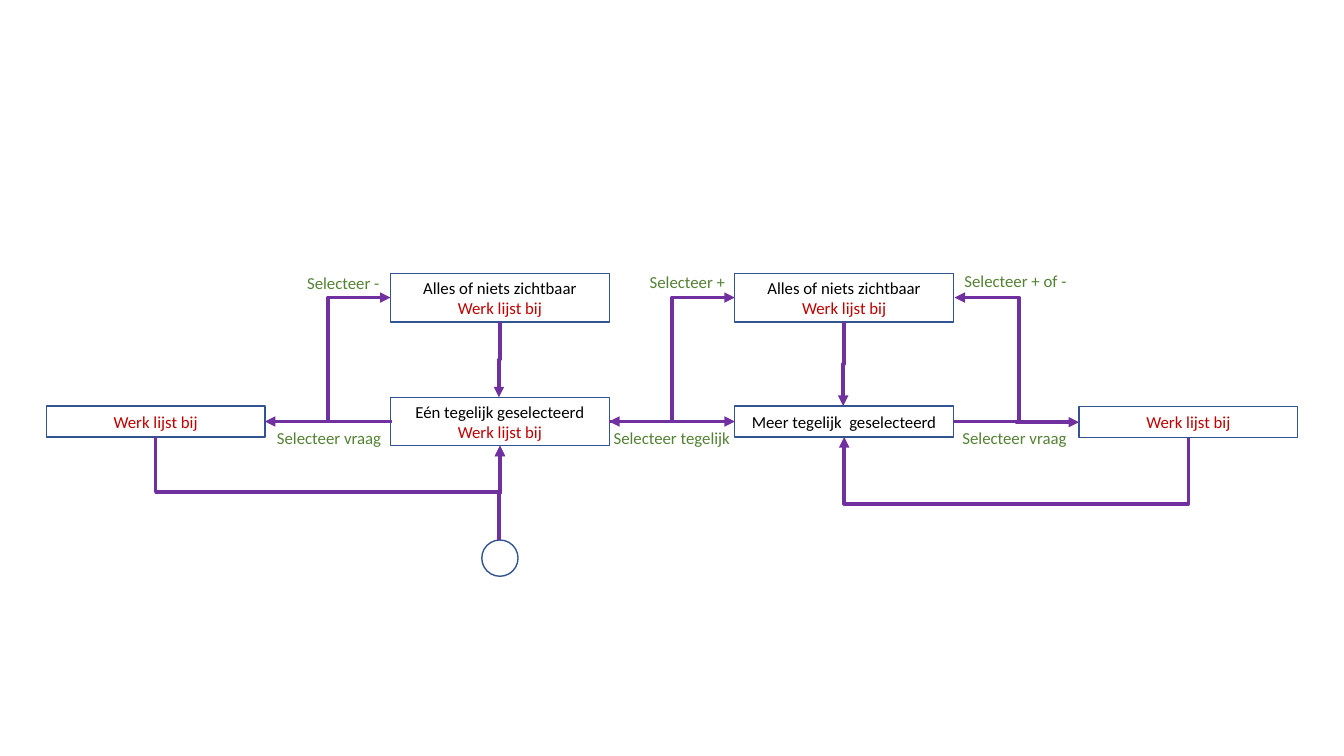
from pptx import Presentation
from pptx.util import Pt
from pptx.dml.color import RGBColor as RGB
from pptx.enum.shapes import MSO_SHAPE as SHAPE, MSO_CONNECTOR as LINK
from pptx.enum.text import PP_ALIGN as ALIGN, MSO_ANCHOR as ANCHOR, MSO_AUTO_SIZE as AUTO
from pptx.oxml.ns import qn
from lxml.etree import SubElement as add_tag

HUE = {"edge": "325491", "arrow": "7030A0", "state": "000000",
       "action": "C00000", "event": "548235"}

# Grid: column centres, row centres and box sizes
COLS = [111.2 + 245.9 * i for i in range(4)]
HIGH, MID = 212.6, 301.1
WIDE, TALL, FLAT = 156.2, 34.6, 22.2
ROUND = 25.9
LEFT = [c - WIDE / 2 for c in COLS]
RIGHT = [c + WIDE / 2 for c in COLS]
FOOT = MID + FLAT / 2

# Content
UPDATE = ("Werk lijst bij", "action")
SHOWN = ("Alles of niets zichtbaar", "state")
BOXES = [  # column, centre y, height, lines
    (1, HIGH, TALL, [SHOWN, UPDATE]),
    (2, HIGH, TALL, [SHOWN, UPDATE]),
    (0, MID, FLAT, [UPDATE]),
    (1, MID, TALL, [("Eén tegelijk geselecteerd", "state"), UPDATE]),
    (2, MID, FLAT, [("Meer tegelijk  geselecteerd", "state")]),
    (3, MID + 0.5, FLAT, [UPDATE]),
]
LABELS = [  # text, left, top, width
    ("Selecteer -", 211.7, 191.5, 67),
    ("Selecteer +", 456.5, 190.8, 69.1),
    ("Selecteer + of -", 681.1, 190.1, 88.6),
    ("Selecteer vraag", 190.1, 301.9, 90),
    ("Selecteer tegelijk", 430.6, 301.9, 98.6),
    ("Selecteer vraag", 679.7, 301.9, 90),
]
ARROWS = [  # first direction, start, end, turning place (None: halfway), two heads
    ("v", (COLS[1] - 0.7, 386), (COLS[1], MID + TALL / 2), 352, False),
    ("v", (COLS[1], HIGH + TALL / 2), (COLS[1] - 0.7, MID - TALL / 2), None, False),
    ("v", (COLS[2], HIGH + TALL / 2), (COLS[2] - 0.7, MID - FLAT / 2), None, False),
    ("v", (COLS[0], FOOT), (COLS[1], MID + TALL / 2), 351.4, False),
    ("v", (COLS[3], FOOT + 0.5), (COLS[2], FOOT), 358.9, False),
    ("h", (LEFT[1], MID), (RIGHT[0], MID), None, False),
    ("h", (RIGHT[1], MID), (LEFT[2], MID), None, True),
    ("h", (RIGHT[2], MID), (LEFT[3], MID + 0.5), None, False),
    ("h", (LEFT[1] + 1, MID), (LEFT[1], HIGH), 234, False),
    ("h", (RIGHT[1], MID), (LEFT[2], HIGH), None, False),
    ("h", (RIGHT[2], MID), (RIGHT[2] + 0.7, HIGH), 727.2, False),
]

deck = Presentation()
deck.slide_width, deck.slide_height = Pt(960), Pt(540)
slide = deck.slides.add_slide(deck.slide_layouts[6])
shapes = slide.shapes


def write(frame, lines):
    for i, (text, hue) in enumerate(lines):
        para = frame.paragraphs[0] if i == 0 else frame.add_paragraph()
        para.text, para.alignment = text, ALIGN.CENTER
        para.font.size, para.font.name = Pt(12), "Calibri"
        para.font.color.rgb = RGB.from_string(HUE[hue])


def outline(kind, x, y, wide, tall):
    """Place an unfilled shape around the centre x, y."""
    shape = shapes.add_shape(kind, Pt(x - wide / 2), Pt(y - tall / 2), Pt(wide), Pt(tall))
    shape.shadow.inherit = False
    shape.fill.background()
    shape.line.color.rgb, shape.line.width = RGB.from_string(HUE["edge"]), Pt(1)
    return shape


def arrow(way, start, end, turn, both):
    """Draw an elbow; one that leaves vertically is a quarter-turned one."""
    axis = 0 if way == "h" else 1
    ratio = 0.5 if turn is None else (turn - start[axis]) / (end[axis] - start[axis])
    ends = [start, end]
    if way == "v":
        cx, cy = (start[0] + end[0]) / 2, (start[1] + end[1]) / 2
        ends = [(cx + y - cy, cy + cx - x) for x, y in ends]
    link = shapes.add_connector(LINK.ELBOW, *[Pt(v) for point in ends for v in point])
    link.line.color.rgb, link.line.width = RGB.from_string(HUE["arrow"]), Pt(2.5)
    props = link._element.spPr
    if way == "v":
        props.find(qn("a:xfrm")).set("rot", "5400000")
    guides = props.find(qn("a:prstGeom")).find(qn("a:avLst"))
    add_tag(guides, qn("a:gd"), name="adj1", fmla=f"val {round(ratio * 100000)}")
    line = props.find(qn("a:ln"))
    for tip in ["headEnd", "tailEnd"] if both else ["tailEnd"]:
        add_tag(line, qn("a:" + tip), type="triangle")
    add_tag(props, qn("a:effectLst"))


# Start circle and state boxes
outline(SHAPE.OVAL, COLS[1], 398.7, ROUND, ROUND)
for col, y, tall, lines in BOXES:
    frame = outline(SHAPE.RECTANGLE, COLS[col], y, WIDE, tall).text_frame
    frame.word_wrap, frame.vertical_anchor = True, ANCHOR.MIDDLE
    write(frame, lines)

# Transitions
for item in ARROWS:
    arrow(*item)

# Event labels
for text, x, y, wide in LABELS:
    frame = shapes.add_textbox(Pt(x), Pt(y), Pt(wide), Pt(21.8)).text_frame
    frame.word_wrap, frame.auto_size = False, AUTO.SHAPE_TO_FIT_TEXT
    write(frame, [(text, "event")])

deck.save("out.pptx")
